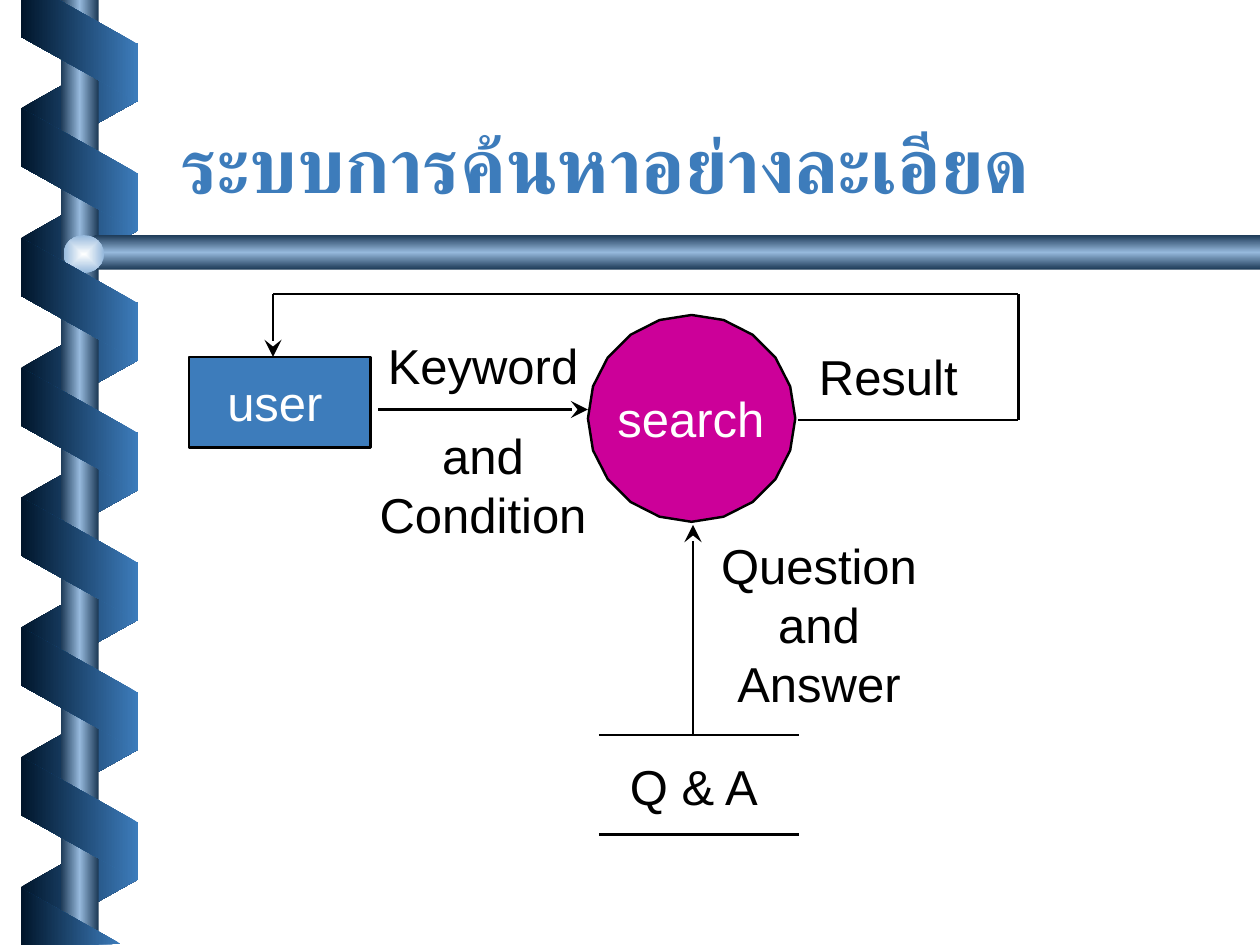
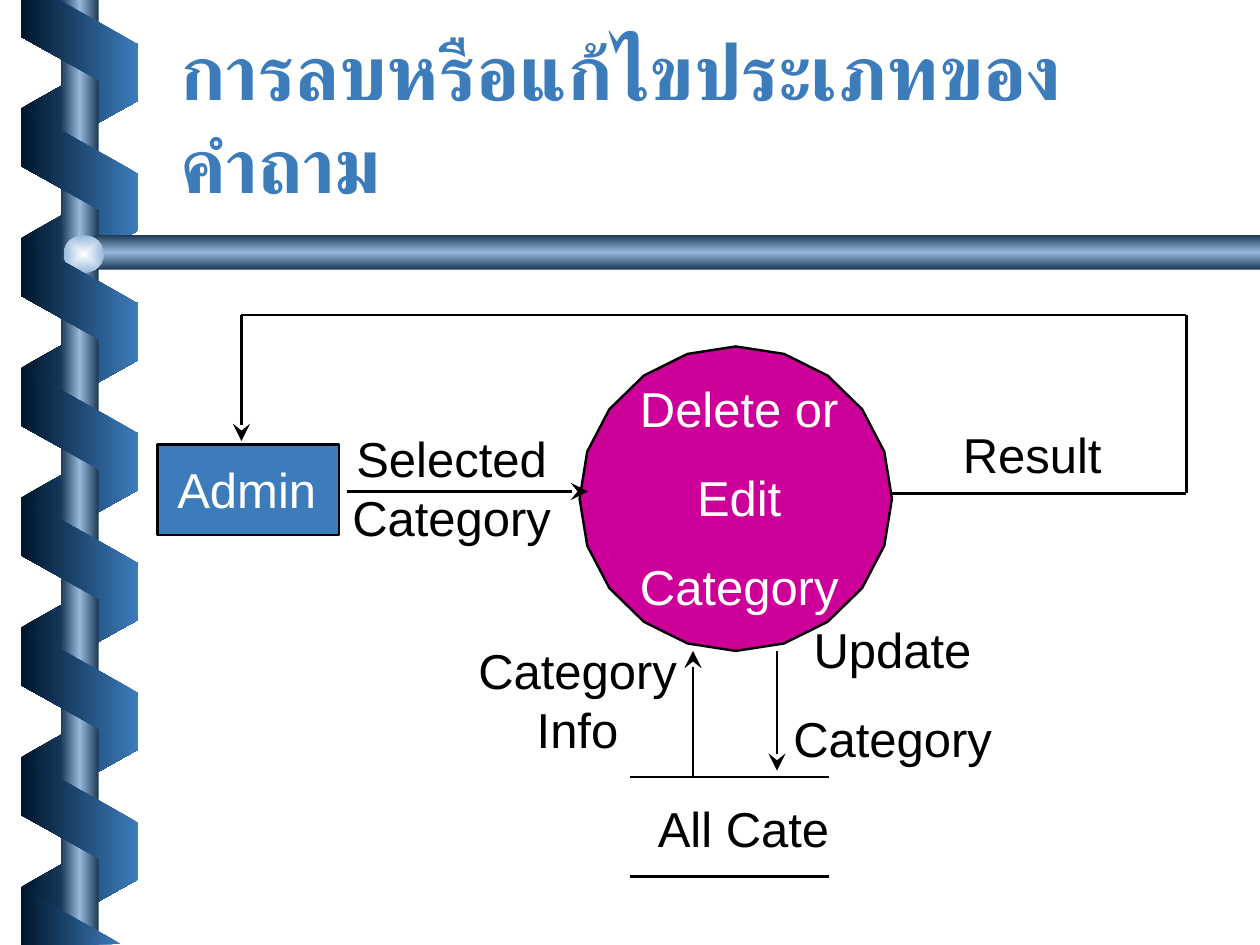
"""Build two data-flow slides on a shared spiral-binding background."""
import itertools
import math

import pptx
import pptx.dml.color
import pptx.enum.shapes
import pptx.enum.text
import pptx.oxml
import pptx.oxml.ns
import pptx.util

RGBColor = pptx.dml.color.RGBColor
BLACK = RGBColor(0x00, 0x00, 0x00)
WHITE = RGBColor(0xFF, 0xFF, 0xFF)
BLUE = RGBColor(0x3D, 0x7C, 0xBB)
NAVY = RGBColor(0x00, 0x15, 0x2A)
STEEL = RGBColor(0x1C, 0x39, 0x56)
SKY = RGBColor(0x96, 0xB9, 0xDC)
GLOW = RGBColor(0xFE, 0xFF, 0xFF)
MAGENTA = RGBColor(0xCC, 0x00, 0x99)

PRESET = pptx.enum.shapes.MSO_SHAPE
ALIGN = pptx.enum.text.PP_ALIGN
LABEL_FONT = {"name": "Arial", "size": pptx.util.Pt(28)}
TITLE_FONT = {"name": "Roboto", "size": pptx.util.Pt(44), "bold": True}
LABEL_FRAME = {"margin_left": 0, "margin_right": 0, "margin_top": 0, "margin_bottom": 0,
               "auto_size": pptx.enum.text.MSO_AUTO_SIZE.SHAPE_TO_FIT_TEXT}
TITLE_FRAME = {"vertical_anchor": pptx.enum.text.MSO_ANCHOR.BOTTOM}

deck = pptx.Presentation()
deck.slide_width = pptx.util.Inches(10)
deck.slide_height = pptx.util.Inches(7.5)
COLUMNS, ROWS = 120, 90
CELL = deck.slide_width / COLUMNS
LINE_ROWS = 5.6
STRAND_PITCH = 12.36
STRAND_SIZE = (11.76, 11.16)

RAIL = [(120, 22.38), (9.12, 22.38), (7.2, 24), (9.12, 25.68), (120, 25.68)]
TOP_STRAND = [(2, 0), (2, 3.5), (13.1, 9.7), (13.1, 4.2), (5.6, 0)]
LAST_STRAND = [(11.5, 89.9), (2, 84.6), (2, 90)]

FLOWS = [
    {
        "title": "ระบบการค้นหาอย่างละเอียด",
        "actor": (18, 34),
        "process": (56, 30, 19.75, 19.7),
        "store": (57.05, 70),
        "routes": [
            [(36, 39), (56, 39)],
            [(66, 70), (66, 50)],
            [(76, 40), (97, 40), (97, 28), (26, 28), (26, 34)],
        ],
        "names": [
            ((58.8, 37, 15.2), ["search"], WHITE, MAGENTA),
            ((21.65, 35.45, 9.1), ["user"], WHITE, BLUE),
            ((60, 72, 12.5), ["Q & A"], BLACK, None),
            ((78, 33, 13.5), ["Result"], BLACK, None),
        ],
        "notes": [
            ((36, 32, 20), ["Keyword", "and Condition"], BLACK, None),
            ((68, 51, 20), ["Question and Answer"], BLACK, None),
        ],
    },
    {
        "title": "การลบหรือแก้ไขประเภทของคำถาม",
        "actor": (15, 42.35),
        "process": (55.2, 33, 29.75, 29),
        "store": (60, 74),
        "routes": [
            [(33, 46.8), (56, 46.8)],
            [(66, 74), (66, 62)],
            [(74, 62), (74, 73.4)],
            [(85, 47), (113, 47), (113, 30), (23, 30), (23, 42)],
        ],
        "names": [
            ((16.9, 43.8, 13.5), ["Admin"], WHITE, BLUE),
            ((62.65, 76, 16.4), ["All Cate"], BLACK, None),
            ((91.7, 40.4, 13.5), ["Result"], BLACK, None),
        ],
        "notes": [
            ((60.9, 36, 19), ["Delete or", "Edit", "Category"], WHITE, None),
            ((33, 40.8, 20), ["Selected Category"], BLACK, None),
            ((75, 59, 20), ["Update", "Category"], BLACK, None),
            ((45, 61, 20), ["Category Info"], BLACK, None),
        ],
    },
]


def grid(*cells):
    """Turn grid cells into slide lengths."""
    return [pptx.util.Emu(round(cell * CELL)) for cell in cells]


def paint(shape, colours, angle=None, outline=None):
    """Fill with one colour or a gradient; no angle means from the centre."""
    shape.shadow.inherit = False
    shape.fill.solid()
    shape.fill.fore_color.rgb = colours[0]
    if len(colours) > 1:
        stops = "".join(
            f'<a:gs pos="{100000 * i // (len(colours) - 1)}"><a:srgbClr val="{colour}"/></a:gs>'
            for i, colour in enumerate(colours))
        course = (
            '<a:path path="rect"><a:fillToRect l="50000" t="50000" r="50000" b="50000"/></a:path>'
            if angle is None else f'<a:lin ang="{angle * 60000}" scaled="0"/>')
        properties = shape.element.spPr
        properties.replace(
            properties.find(pptx.oxml.ns.qn("a:solidFill")),
            pptx.oxml.parse_xml(f'<a:gradFill {pptx.oxml.ns.nsdecls("a")} rotWithShape="0">'
                                f'<a:gsLst>{stops}</a:gsLst>{course}</a:gradFill>'))
    if outline:
        shape.line.color.rgb = BLACK
        shape.line.width = pptx.util.Pt(outline)
    else:
        shape.line.fill.background()


for flow in FLOWS:
    slide = deck.slides.add_slide(deck.slide_layouts[6])
    shapes = slide.shapes

    for turn in range(7):
        back_strand = shapes.add_shape(
            PRESET.PARALLELOGRAM, *grid(1.68, 4.38 + turn * STRAND_PITCH, *STRAND_SIZE))
        back_strand.adjustments[0] = 0.56
        back_strand.rotation = 90
        back_strand.element.spPr.xfrm.set("flipH", "1")
        paint(back_strand, [NAVY, BLUE], 180)

    rod = shapes.add_shape(PRESET.RECTANGLE, *grid(5.8, 0, 3.6, ROWS))
    paint(rod, [STEEL, SKY, STEEL], 180)

    for corners, colours, angle in [(RAIL, [STEEL, SKY, STEEL], 90),
                                    (TOP_STRAND, [BLUE, NAVY], 180),
                                    (LAST_STRAND, [BLUE, NAVY], 180)]:
        outline = shapes.build_freeform(*grid(*corners[0]))
        outline.add_line_segments([grid(*corner) for corner in corners[1:]])
        paint(outline.convert_to_shape(), colours, angle)

    knob = shapes.add_shape(PRESET.OVAL, *grid(6.05, 22.4, 3.85, 3.6))
    paint(knob, [GLOW, SKY])

    for turn in range(6):
        front_strand = shapes.add_shape(
            PRESET.PARALLELOGRAM, *grid(1.68, 10.58 + turn * STRAND_PITCH, *STRAND_SIZE))
        front_strand.adjustments[0] = 0.56
        front_strand.rotation = 270
        paint(front_strand, [BLUE, NAVY], 180)

    left, top, width, height = flow["process"]
    rim = [grid(left + width / 2 * (1 - math.cos(step * math.pi / 10)),
                top + height / 2 * (1 - math.sin(step * math.pi / 10))) for step in range(20)]
    process = shapes.build_freeform(*rim[0])
    process.add_line_segments(rim[1:])
    paint(process.convert_to_shape(), [MAGENTA], outline=1.4)

    actor = shapes.add_shape(PRESET.RECTANGLE, *grid(*flow["actor"], 17.3, 8.6))
    paint(actor, [BLUE], outline=1.5)

    left, top = flow["store"]
    store_lines = shapes.build_freeform(*grid(left, top + 9.5))
    store_lines.add_line_segments([grid(left + 19, top + 9.5)], close=False)
    store_lines.move_to(*grid(left, top))
    store_lines.add_line_segments([grid(left + 19, top)], close=False)
    store = store_lines.convert_to_shape()
    paint(store, [WHITE], outline=1.6)
    store.fill.background()

    for route in flow["routes"]:
        for start, end in itertools.pairwise(route):
            leg = shapes.add_connector(
                pptx.enum.shapes.MSO_CONNECTOR.STRAIGHT, *grid(*start, *end))
            leg.line.color.rgb = BLACK
            leg.line.width = pptx.util.Pt(1.5)
            properties = leg.element.spPr
            if end == route[-1]:
                properties.find(pptx.oxml.ns.qn("a:ln")).append(pptx.oxml.parse_xml(
                    f'<a:tailEnd {pptx.oxml.ns.nsdecls("a")} type="stealth" w="lg" len="lg"/>'))
            properties.append(pptx.oxml.parse_xml(
                f'<a:effectLst {pptx.oxml.ns.nsdecls("a")}/>'))

    heading = ((16, 5.45, 102), [flow["title"]], BLUE, None)
    texts = [(heading, 15, True, ALIGN.LEFT, TITLE_FRAME, TITLE_FONT)]
    for name in flow["names"]:
        texts.append((name, LINE_ROWS, False, ALIGN.LEFT, LABEL_FRAME, LABEL_FONT))
    for note in flow["notes"]:
        texts.append((note, LINE_ROWS * 2, True, ALIGN.CENTER, LABEL_FRAME, LABEL_FONT))

    for (place, lines, colour, backing), rows, wraps, align, frame_format, font_format in texts:
        box = shapes.add_textbox(*grid(*place, rows))
        if backing:
            box.fill.solid()
            box.fill.fore_color.rgb = backing
        frame = box.text_frame
        frame.word_wrap = wraps
        for key, value in frame_format.items():
            setattr(frame, key, value)
        frame.text = "\n".join(lines)
        for index, paragraph in enumerate(frame.paragraphs):
            paragraph.alignment = align
            paragraph.space_before = pptx.util.Pt(17.5 if index else 0)
            font = paragraph.runs[0].font
            font.color.rgb = colour
            for key, value in font_format.items():
                setattr(font, key, value)

deck.save("out.pptx")
